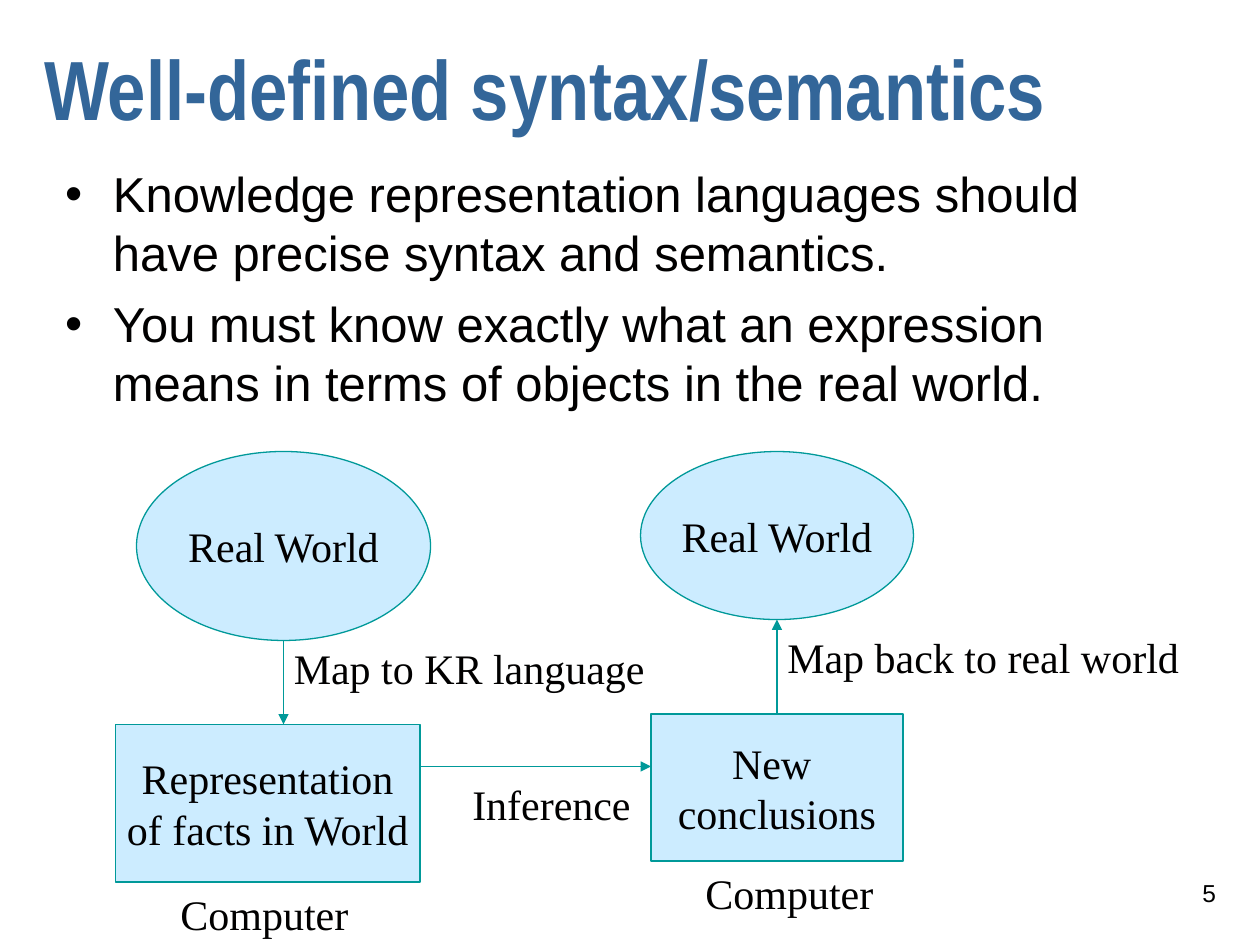
from lxml.etree import SubElement
from pptx import Presentation
from pptx.dml.color import RGBColor
from pptx.enum.shapes import MSO_CONNECTOR, MSO_SHAPE
from pptx.enum.text import MSO_ANCHOR, MSO_AUTO_SIZE, PP_ALIGN
from pptx.oxml.ns import qn
from pptx.util import Inches, Pt

# The slide is a grid of 120 columns by 90 rows
COLUMNS, ROWS = 120, 90
WIDTH, HEIGHT = Inches(10), Inches(7.5)
TEXT, TITLE, LINE, FILL = "010000", "336699", "009999", "CCECFF"
SERIF, SANS, NARROW = "Times New Roman", "Arial", "Arial Narrow"


def colour(value):
    return RGBColor.from_string(value)


def column(count):
    return round(WIDTH * count / COLUMNS)


def row(count):
    return round(HEIGHT * count / ROWS)


def place(box):
    left, top, width, height = box
    return column(left), row(top), column(width), row(height)


def move(shape, box):
    shape.left, shape.top, shape.width, shape.height = place(box)


def add_bullet(paragraph):
    properties = paragraph._p.get_or_add_pPr()
    properties.set("marL", str(Inches(0.38)))
    properties.set("indent", str(Inches(-0.38)))
    SubElement(properties, qn("a:buChar")).set("char", "•")


def write(shape, text, font=SERIF, size=24, color=TEXT, bold=False, align=PP_ALIGN.LEFT,
          anchor=MSO_ANCHOR.TOP, wrap=False, grow=False, bullets=False,
          space_before=0, line_spacing=1.0):
    frame = shape.text_frame
    frame.text = text
    frame.word_wrap = wrap
    frame.vertical_anchor = anchor
    frame.auto_size = MSO_AUTO_SIZE.SHAPE_TO_FIT_TEXT if grow else MSO_AUTO_SIZE.NONE
    for index, paragraph in enumerate(frame.paragraphs):
        if bullets:
            add_bullet(paragraph)
        paragraph.alignment = align
        paragraph.line_spacing = line_spacing
        paragraph.space_before = Pt(space_before if index else 0)
        paragraph.font.name = font
        paragraph.font.size = Pt(size)
        paragraph.font.bold = bold
        paragraph.font.color.rgb = colour(color)


def add_label(slide, box, text, **text_format):
    shape = slide.shapes.add_textbox(*place(box))
    write(shape, text, **text_format)


def add_node(slide, kind, box, text):
    shape = slide.shapes.add_shape(kind, *place(box))
    shape.shadow.inherit = False
    shape.fill.solid()
    shape.fill.fore_color.rgb = colour(FILL)
    shape.line.color.rgb = colour(LINE)
    shape.line.width = Pt(0.75)
    write(shape, text, align=PP_ALIGN.CENTER, anchor=MSO_ANCHOR.MIDDLE)
    return shape


def add_arrow(slide, start, end):
    connector = slide.shapes.add_connector(
        MSO_CONNECTOR.STRAIGHT, column(start[0]), row(start[1]), column(end[0]), row(end[1]))
    connector.line.color.rgb = colour(LINE)
    connector.line.width = Pt(0.75)
    SubElement(connector.line._get_or_add_ln(), qn("a:tailEnd")).set("type", "triangle")
    SubElement(connector._element.spPr, qn("a:effectLst"))
    return connector


def add_heading(slide, box):
    title = slide.shapes.title
    move(title, box)
    write(title, "Well-defined syntax/semantics", font=NARROW, size=48, color=TITLE,
          bold=True, anchor=MSO_ANCHOR.MIDDLE, wrap=True, line_spacing=0.7)


def add_points(slide, box):
    body = slide.placeholders[1]
    move(body, box)
    points = ["Knowledge representation languages should have precise syntax and semantics.",
              "You must know exactly what an expression means in terms of objects in the real world."]
    write(body, "\n".join(points), font=SANS, size=28, wrap=True, bullets=True, space_before=7)


def add_diagram(slide, box):
    left, top, width, height = box

    def inside(x, y, *size):
        return (left + x, top + y, *size)

    # Worlds above, computers below
    add_node(slide, MSO_SHAPE.RECTANGLE, inside(0, 26, 29, 15),
             "Representation\nof facts in World")
    add_node(slide, MSO_SHAPE.OVAL, inside(2, 0, 28, 18), "Real World")
    conclusions = add_node(slide, MSO_SHAPE.RECTANGLE, inside(51, 25, 24, 14),
                           "New \nconclusions")
    add_node(slide, MSO_SHAPE.OVAL, inside(50, 0, 26, 16), "Real World")

    # Arrows between the nodes
    add_arrow(slide, inside(16, 18), inside(16, 26))
    back = add_arrow(slide, inside(63, 25), inside(63, 16))
    back.begin_connect(conclusions, 0)
    add_arrow(slide, inside(29, 30), inside(51, 30))

    # Captions of nodes and arrows, each box a little wider than its text
    captions = [("Computer", 5, 41, 18.6), ("Computer", 55, 39, 18.6),
                ("Map to KR language", 15.8, 17.6, 36.2),
                ("Map back to real world", 62.8, 16.6, 40.2),
                ("Inference", 32.8, 30.6, 17.8)]
    for text, x, y, caption_width in captions:
        add_label(slide, inside(x, y, caption_width, 6), text, grow=True)


def main():
    presentation = Presentation()
    presentation.slide_width, presentation.slide_height = WIDTH, HEIGHT
    slide = presentation.slides.add_slide(presentation.slide_layouts[1])
    add_heading(slide, (3, 2, 105, 15))
    add_points(slide, (5, 15, 103, 61))
    add_diagram(slide, (11, 43, 103, 47))
    # Page number
    add_label(slide, (92, 82, 25, 6), "5", font=SANS, size=14, align=PP_ALIGN.RIGHT,
              anchor=MSO_ANCHOR.MIDDLE, wrap=True)
    presentation.save("out.pptx")


if __name__ == "__main__":
    main()
